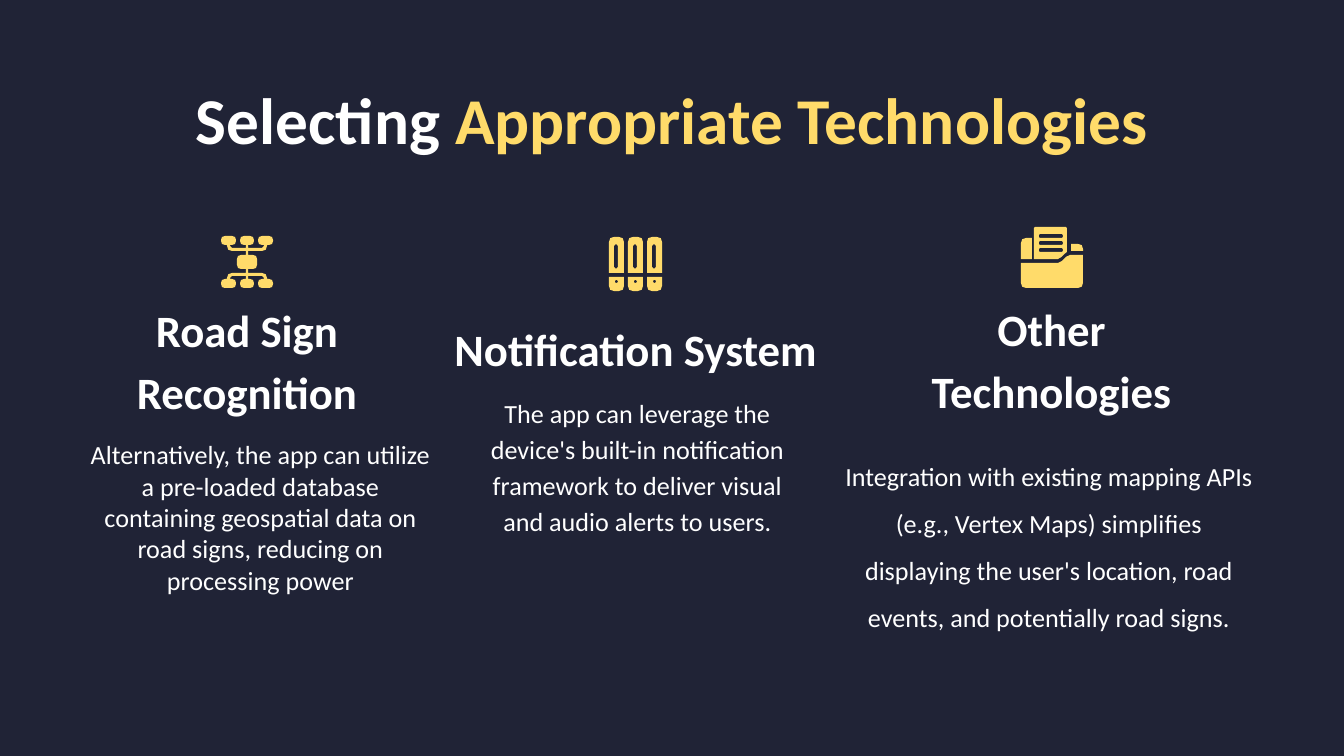
import pptx
import pptx.dml.color
import pptx.enum.text
import pptx.util

RGB = pptx.dml.color.RGBColor
ALIGN = pptx.enum.text.PP_ALIGN
ANCHOR = pptx.enum.text.MSO_ANCHOR
NAVY = RGB(0x20, 0x23, 0x36)
WHITE = RGB(0xFF, 0xFF, 0xFF)
GOLD = RGB(0xFF, 0xDB, 0x6A)
PX = 914400 / 134.4
FONT = "Calibri"


def emu(px):
    return round(px * PX)


def style(obj, form):
    for key, val in form.items():
        setattr(obj, key, val)


def text(slide, box, runs, size, bold=False, frame=None, para=None):
    """Place one centred paragraph; runs are (words, colour) pairs."""
    area = slide.shapes.add_textbox(*map(emu, box)).text_frame
    sides = ("left", "top", "right", "bottom")
    pads = {f"margin_{side}": pptx.util.Inches(0.1) for side in sides}
    style(area, {"word_wrap": True, **pads, **(frame or {})})
    line = area.paragraphs[0]
    style(line, {"alignment": ALIGN.CENTER, **(para or {})})
    for words, tint in runs:
        run = line.add_run()
        run.text = words
        style(run.font, {"name": FONT, "size": pptx.util.Pt(size), "bold": bold})
        run.font.color.rgb = tint


def bend(ring):
    """Turn (x, y, radius) corners into points; small radii get one cut."""
    out = []
    for i, (x, y, rad) in enumerate(ring):
        if not rad:
            out.append((x, y))
            continue
        ends = []
        for px, py, _ in (ring[i - 1], ring[(i + 1) % len(ring)]):
            dist = max(abs(px - x), abs(py - y))
            part = min(rad / dist, 1)
            ends.append((x + (px - x) * part, y + (py - y) * part))
        (ax, ay), (bx, by) = ends
        mid = [((ax + 2 * x + bx) / 4, (ay + 2 * y + by) / 4)]
        out += [ends[0], *(mid if rad > 2 else []), ends[1]]
    return out


def rect(x, y, wide, high, tl=0, tr=0, br=0, bl=0):
    return [(x, y, tl), (x + wide, y, tr),
            (x + wide, y + high, br), (x, y + high, bl)]


def solid(slide, left, top, *rings):
    """Draw a gold outline; every ring after the first is a hole."""
    loops = [[(emu(left + x), emu(top + y)) for x, y in bend(ring)]
             for ring in rings]
    pen = slide.shapes.build_freeform(*loops[0][0])
    pen.add_line_segments(loops[0][1:])
    for loop in loops[1:]:
        pen.move_to(*loop[0])
        pen.add_line_segments(loop[1:])
    shape = pen.convert_to_shape()
    shape.shadow.inherit = False
    shape.fill.solid()
    shape.fill.fore_color.rgb = GOLD
    shape.line.fill.background()


def network(slide, left, top):
    """Mirror one quarter of the node diagram about both axes."""
    quart = [(7, -26, 4), (7, -17, 4), (1, -17, 0), (1, -14, 0), (17, -14, 2),
             (17, -17, 0), (11, -17, 4), (11, -26, 4), (26, -26, 4),
             (26, -17, 4), (20, -17, 0), (20, -11, 5), (1, -11, 0),
             (1, -7, 0), (10, -7, 4)]
    half = quart + [(x, -y, r) for x, y, r in reversed(quart)]
    full = half + [(-x, y, r) for x, y, r in reversed(half)]
    solid(slide, left + 26, top + 26, full)


def binders(slide, left, top):
    for i in range(3):
        x = left + 19 * i
        solid(slide, x, top, rect(0, 0, 15, 36, 5, 5),
              rect(5, 7, 4, 25, 2, 2, 2, 2))
        solid(slide, x, top, rect(0, 40, 15, 14, 0, 0, 5, 5),
              rect(6, 43, 3, 3, 1, 1, 1, 1))


def folder(slide, left, top):
    solid(slide, left, top, rect(50, 17, 12, 7, 0, 5))
    sheet = [(13, 0, 1), (46, 0, 1), (46, 25, 0), (42, 28, 2),
             (39, 32, 2), (13, 32, 0)]
    lines = [rect(18, 7 + 7 * i, 24, 4, 1, 1, 1, 1) for i in range(3)]
    solid(slide, left, top, sheet, *lines)
    solid(slide, left, top, rect(0, 11, 11, 21, 5))
    solid(slide, left, top, [(47, 28, 2), (62, 28, 0), (62, 61, 5),
                             (0, 61, 5), (0, 36, 0), (39, 36, 2), (43, 32, 1)])


def column(slide, icon, spot, head, title, body, words, frame=None, para=None):
    icon(slide, *spot)
    text(slide, head, [(title, WHITE)], 24, True,
         {"vertical_anchor": ANCHOR.BOTTOM}, {"line_spacing": 1.15})
    text(slide, body, [(words, WHITE)], 14, frame=frame, para=para)


def main():
    deck = pptx.Presentation()
    style(deck, {"slide_width": emu(1344), "slide_height": emu(756)})
    slide = deck.slides.add_slide(deck.slide_layouts[6])
    slide.background.fill.solid()
    slide.background.fill.fore_color.rgb = NAVY

    text(slide, (106, 66, 1132, 85),
         [("Selecting ", WHITE), ("Appropriate Technologies", GOLD)], 35, True)
    thin = pptx.util.Inches(0.05)
    column(slide, network, (221, 236),
           (75, 294, 344, 138), "Road Sign Recognition",
           (75, 432, 371, 203),
           "Alternatively, the app can utilize a pre-loaded database containing "
           "geospatial data on road signs, reducing on processing power",
           frame={"margin_top": thin, "margin_bottom": thin})
    column(slide, binders, (609, 237),
           (428, 292, 415, 97), "Notification System",
           (466, 379, 343, 312),
           "The app can leverage the device's built-in notification framework "
           "to deliver visual and audio alerts to users.",
           para={"line_spacing": 1.15})
    column(slide, folder, (1021, 227),
           (880, 282, 343, 149), "Other Technologies",
           (829, 431, 440, 259),
           "Integration with existing mapping APIs (e.g., Vertex Maps) simplifies "
           "displaying the user's location, road events, and potentially road "
           "signs.",
           para={"line_spacing": 1.5, "space_after": pptx.util.Pt(8)})
    deck.save("out.pptx")


if __name__ == "__main__":
    main()
